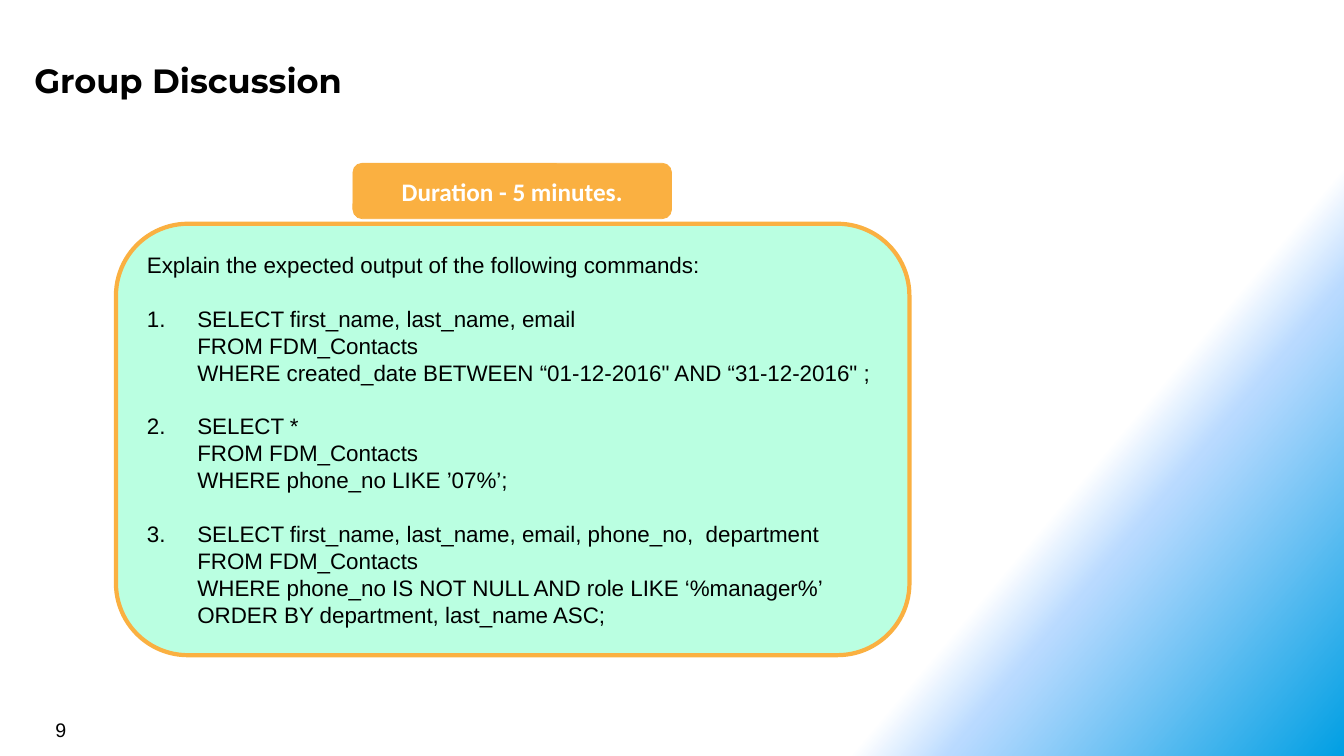
from lxml import etree
from pptx import Presentation
from pptx.dml.color import RGBColor
from pptx.enum.shapes import MSO_SHAPE
from pptx.enum.text import MSO_ANCHOR as ANCHOR, PP_ALIGN as ALIGN
from pptx.oxml.ns import qn
from pptx.util import Inches, Pt

SLIDE_W, SLIDE_H = Inches(13.33), Inches(7.5)
BLACK, WHITE, ORANGE, MINT = "000000", "FFFFFF", "FAB041", "BAFFE1"
LINE_PITCH = Pt(19.2)
NUMBER_INDENT = Inches(0.5)

# Position in percent, colour, opacity in percent
BACKGROUND_STOPS = [(75, WHITE, 100), (80, "B9DAFF", 50), (100, "009FE3", 100)]
BACKGROUND_ANGLE = 40

INTRO = "Explain the expected output of the following commands:"
QUERIES = [
    ["SELECT first_name, last_name, email",
     "FROM FDM_Contacts",
     "WHERE created_date BETWEEN “01-12-2016\" AND “31-12-2016\" ;"],
    ["SELECT *",
     "FROM FDM_Contacts",
     "WHERE phone_no LIKE ’07%’;"],
    ["SELECT first_name, last_name, email, phone_no,  department",
     "FROM FDM_Contacts",
     "WHERE phone_no IS NOT NULL AND role LIKE ‘%manager%’",
     "ORDER BY department, last_name ASC;"],
]


def rgb(hex_colour):
    return RGBColor.from_string(hex_colour)


def area(left, top, width, height):
    """Turn percentages of the slide's size into lengths."""
    return (int(SLIDE_W * left / 100), int(SLIDE_H * top / 100),
            int(SLIDE_W * width / 100), int(SLIDE_H * height / 100))


def paint_background(slide):
    fill = slide.background.fill
    fill.gradient()
    gradient = slide.background._cSld.find(".//" + qn("a:gradFill"))
    for child in list(gradient):
        gradient.remove(child)
    stops = etree.SubElement(gradient, qn("a:gsLst"))
    for position, colour, opacity in BACKGROUND_STOPS:
        stop = etree.SubElement(stops, qn("a:gs"), pos=str(position * 1000))
        tint = etree.SubElement(stop, qn("a:srgbClr"), val=colour)
        if opacity < 100:
            etree.SubElement(tint, qn("a:alpha"), val=str(opacity * 1000))
    etree.SubElement(gradient, qn("a:lin"),
                     ang=str(BACKGROUND_ANGLE * 60000), scaled="0")


def add_run(paragraph, text, size, font="Arial", colour=BLACK, bold=False):
    run = paragraph.add_run()
    run.text = text
    run.font.size = Pt(size)
    run.font.name = font
    run.font.bold = bold
    run.font.color.rgb = rgb(colour)


def add_label(slide, place, text, size, inset=None, **style):
    frame = slide.shapes.add_textbox(*area(*place)).text_frame
    frame.word_wrap = True
    if inset is not None:
        frame.margin_left = frame.margin_right = Inches(inset)
        frame.margin_top = frame.margin_bottom = Inches(inset)
    add_run(frame.paragraphs[0], text, size, **style)


def add_panel(slide, place, fill, line_width):
    """Add an orange-edged rounded rectangle and return its text frame."""
    panel = slide.shapes.add_shape(MSO_SHAPE.ROUNDED_RECTANGLE, *area(*place))
    panel.shadow.inherit = False
    panel.fill.solid()
    panel.fill.fore_color.rgb = rgb(fill)
    panel.line.color.rgb = rgb(ORANGE)
    panel.line.width = Pt(line_width)
    frame = panel.text_frame
    frame.word_wrap = True
    frame.vertical_anchor = ANCHOR.MIDDLE
    return frame


def number_paragraph(paragraph):
    properties = paragraph._p.get_or_add_pPr()
    properties.set("marL", str(NUMBER_INDENT))
    properties.set("indent", str(-NUMBER_INDENT))
    etree.SubElement(properties, qn("a:buFont"), typeface="Arial")
    etree.SubElement(properties, qn("a:buAutoNum"), type="arabicPeriod")


def add_query(frame, lines):
    query = frame.add_paragraph()
    number_paragraph(query)
    query.alignment = ALIGN.LEFT
    query.line_spacing = LINE_PITCH
    query.space_before = LINE_PITCH
    for index, line in enumerate(lines):
        if index:
            query.add_line_break()
        add_run(query, line, 16)


def add_task(slide):
    task = add_panel(slide, (8.63, 29.6, 59.04, 57.07), MINT, 3)
    intro = task.paragraphs[0]
    intro.alignment = ALIGN.LEFT
    intro.line_spacing = LINE_PITCH
    add_run(intro, INTRO, 16)
    for lines in QUERIES:
        add_query(task, lines)


def add_duration(slide):
    duration = add_panel(slide, (26.26, 21.6, 23.71, 7.33), ORANGE, 0.5)
    duration.paragraphs[0].alignment = ALIGN.CENTER
    add_run(duration.paragraphs[0], "Duration - 5 minutes.", 18,
            font="Calibri", colour=WHITE, bold=True)


def main():
    deck = Presentation()
    deck.slide_width, deck.slide_height = SLIDE_W, SLIDE_H
    slide = deck.slides.add_slide(deck.slide_layouts[6])
    paint_background(slide)
    add_label(slide, (1.95, 6.8, 91.97, 7.33), "Group Discussion", 24,
              inset=0.08, font="Montserrat", bold=True)
    add_label(slide, (3.38, 94.27, 23.33, 4.4), "9", 14)
    add_task(slide)
    add_duration(slide)
    deck.save("out.pptx")


if __name__ == "__main__":
    main()
